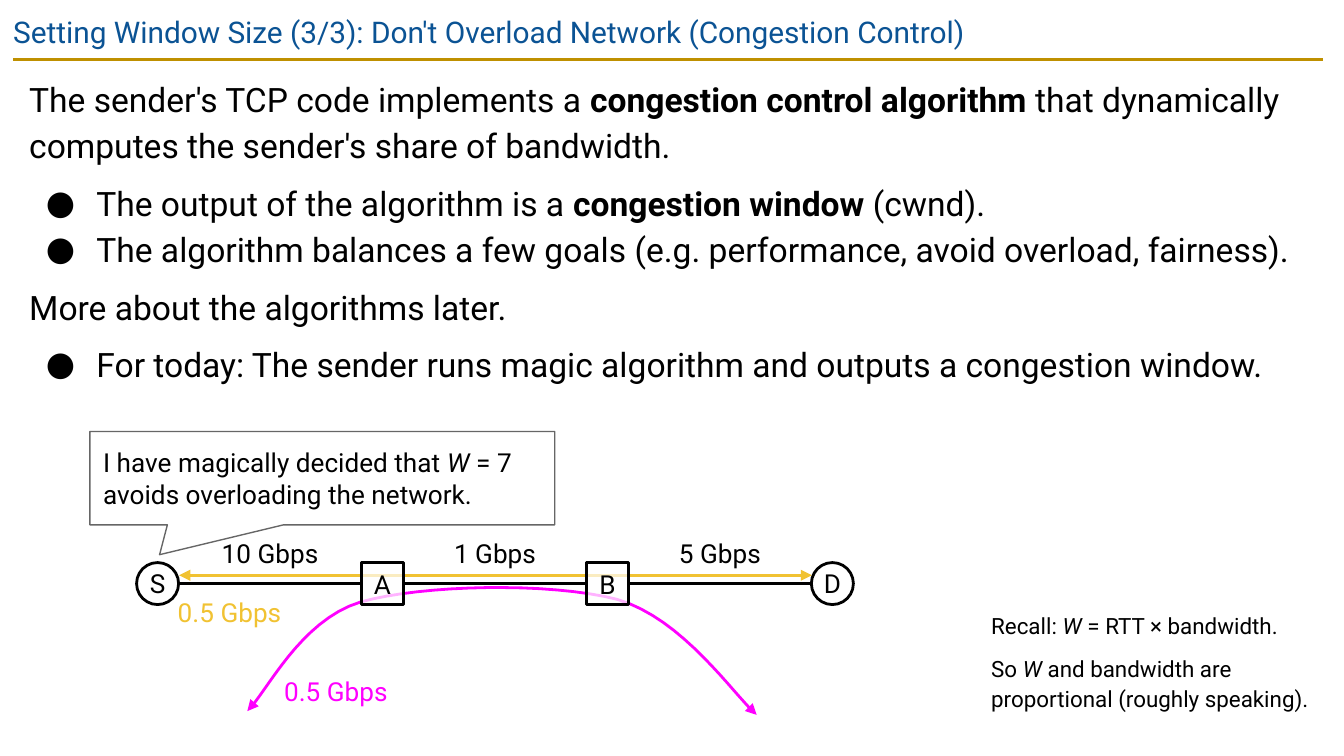
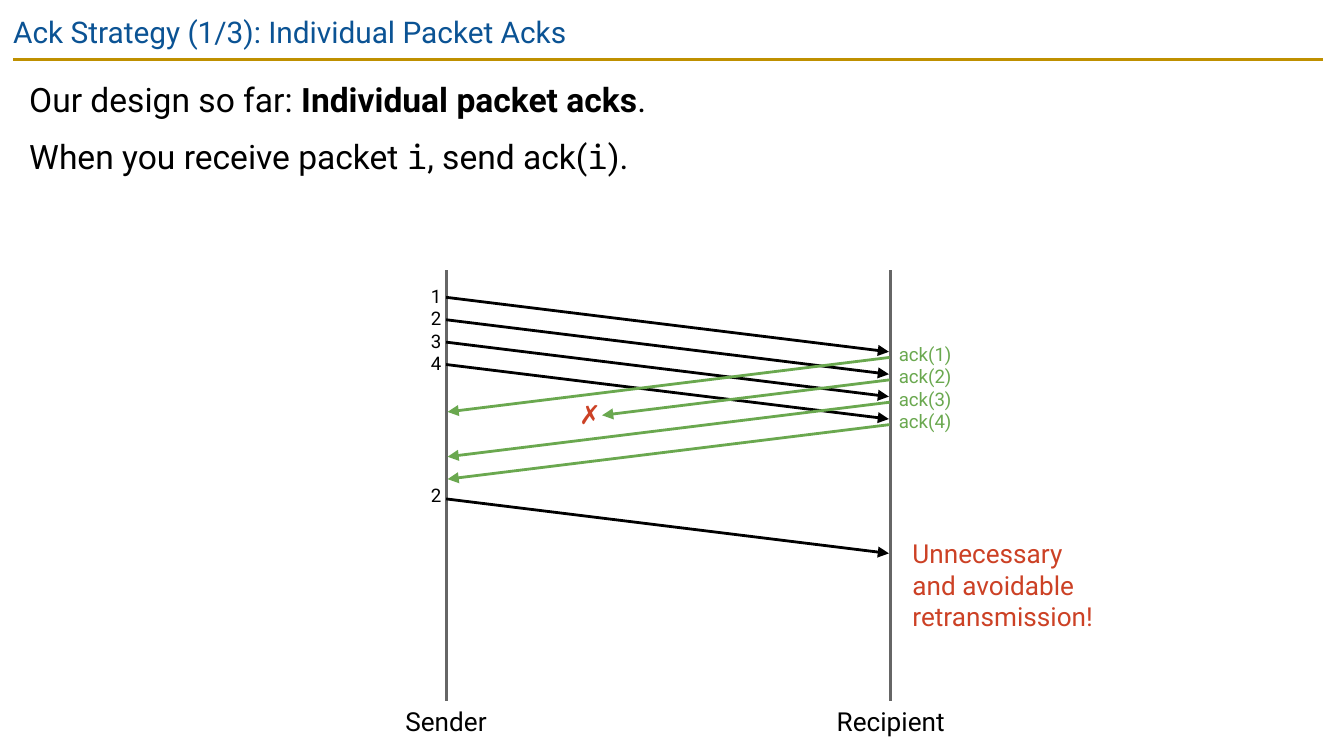
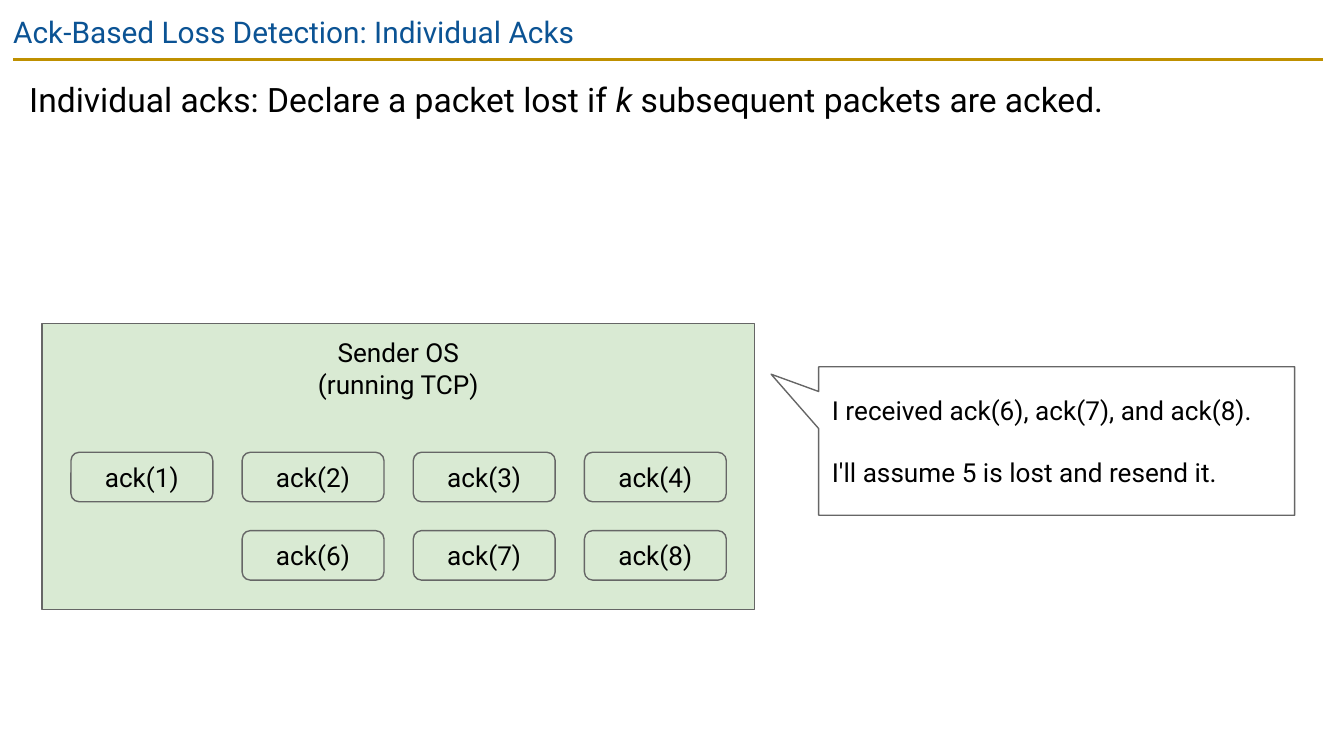
from lxml import etree
from pptx import Presentation
from pptx.dml.color import RGBColor
from pptx.enum.shapes import MSO_CONNECTOR, MSO_SHAPE
from pptx.enum.text import MSO_ANCHOR, PP_ALIGN
from pptx.oxml.ns import qn
from pptx.util import Pt

LEFT, CENTER, RIGHT = PP_ALIGN.LEFT, PP_ALIGN.CENTER, PP_ALIGN.RIGHT
TOP, MIDDLE = MSO_ANCHOR.TOP, MSO_ANCHOR.MIDDLE
RECT, OVAL, ROUNDED = MSO_SHAPE.RECTANGLE, MSO_SHAPE.OVAL, MSO_SHAPE.ROUNDED_RECTANGLE
CALLOUT = MSO_SHAPE.ROUNDED_RECTANGULAR_CALLOUT
STRAIGHT = MSO_CONNECTOR.STRAIGHT

color = RGBColor.from_string
BLACK, WHITE, GRAY = "000000", "FFFFFF", "666666"
BLUE, GOLD, YELLOW, MAGENTA = "0B5394", "BF9000", "F1C232", "FF00FF"
GREEN, PALE_GREEN, RED = "6AA84F", "D9EAD3", "CC4125"
BOLD, ITALIC, MONO = {"bold": True}, {"italic": True}, {"name": "Noto Sans Mono"}
BODY = {"line_spacing": 1.15, "space_before": Pt(6)}
BULLET = "● "


def put(page, kind, place, paragraphs, size=14, ink=BLACK, align=LEFT, anchor=TOP,
        inset=(7.2, 7.2), spacing=None, fill=None, alpha=None, line=GRAY, weight=0.75):
    """Add a preset shape, or a text box if kind is None. A span is a string or (string, format)."""
    place = [Pt(value) for value in place]
    if kind is None:
        box = page.shapes.add_textbox(*place)
    else:
        box = page.shapes.add_shape(kind, *place)
        box.shadow.inherit = False
        box.line.color.rgb = color(line)
        box.line.width = Pt(weight)
        if fill:
            box.fill.solid()
            box.fill.fore_color.rgb = color(fill)
        else:
            box.fill.background()
        if alpha:
            tint = box._element.spPr.find(qn("a:solidFill"))[0]
            etree.SubElement(tint, qn("a:alpha")).set("val", str(alpha * 1000))
    side, edge = (Pt(value) for value in inset)
    frame = {"word_wrap": True, "vertical_anchor": anchor, "margin_left": side,
             "margin_right": side, "margin_top": edge, "margin_bottom": edge}
    for name, value in frame.items():
        setattr(box.text_frame, name, value)

    after_bullet = False
    for number, spans in enumerate(paragraphs):
        para = box.text_frame.add_paragraph() if number else box.text_frame.paragraphs[0]
        spans = [spans] if isinstance(spans, str) else list(spans)
        for name, value in {"alignment": align, **(spacing or {})}.items():
            setattr(para, name, value)
        bulleted = isinstance(spans[0], str) and spans[0].startswith(BULLET)
        if bulleted:
            spans[0] = spans[0].removeprefix(BULLET)
            settings = para._p.get_or_add_pPr()
            settings.set("marL", str(Pt(36)))
            settings.set("indent", str(-Pt(27)))
            tint = etree.SubElement(settings, qn("a:buClr"))
            etree.SubElement(tint, qn("a:srgbClr")).set("val", ink)
            etree.SubElement(settings, qn("a:buSzPts")).set("val", str(size * 100))
            etree.SubElement(settings, qn("a:buFont")).set("typeface", "Roboto")
            etree.SubElement(settings, qn("a:buChar")).set("char", BULLET.strip())
            if after_bullet:
                para.space_before = Pt(0)
        after_bullet = bulleted
        for item in spans:
            words, extra = (item, {}) if isinstance(item, str) else item
            span = para.add_run()
            span.text = words
            span.font.color.rgb = color(ink)
            for name, value in {"name": "Roboto", "size": Pt(size), **extra}.items():
                setattr(span.font, name, value)
    return box


def draw_line(page, points, ink, ends=()):
    """Draw a connector through two points, or an open outline through more."""
    points = [(Pt(x), Pt(y)) for x, y in points]
    if len(points) == 2:
        stroke = page.shapes.add_connector(STRAIGHT, *points[0], *points[1])
    else:
        builder = page.shapes.build_freeform(*points[0], scale=1.0)
        builder.add_line_segments(points[1:], close=False)
        stroke = builder.convert_to_shape()
        stroke.fill.background()
    stroke.line.color.rgb = color(ink)
    stroke.line.width = Pt(1.5)
    for end in ends:
        etree.SubElement(stroke.line._get_or_add_ln(), qn(f"a:{end}")).set("type", "triangle")
    etree.SubElement(stroke._element.spPr, qn("a:effectLst"))


TO_END, BOTH = ("tailEnd",), ("headEnd", "tailEnd")

deck = Presentation()
deck.slide_width, deck.slide_height = Pt(720), Pt(405)

# Title, rule and body of every slide
contents = [
    ("Setting Window Size (3/3): Don't Overload Network (Congestion Control)", 186, [
        ["The sender's TCP code implements a ", ("congestion control algorithm", BOLD),
         " that dynamically computes the sender's share of bandwidth."],
        ["● The output of the algorithm is a ", ("congestion window", BOLD), " (cwnd)."],
        "● The algorithm balances a few goals (e.g. performance, avoid overload, fairness).",
        "More about the algorithms later.",
        "● For today: The sender runs magic algorithm and outputs a congestion window."]),
    ("Ack Strategy (1/3): Individual Packet Acks", 105, [
        ["Our design so far: ", ("Individual packet acks", BOLD), "."],
        ["When you receive packet ", ("i", MONO), ", send ack(", ("i", MONO), ")."]]),
    ("Ack-Based Loss Detection: Individual Acks", 135, [
        ["Individual acks: Declare a packet lost if ", ("k", ITALIC),
         " subsequent packets are acked."]]),
]
pages = []
for title, body_height, body in contents:
    page = deck.slides.add_slide(deck.slide_layouts[6])
    draw_line(page, [(7.2, 32), (709, 32)], GOLD)
    put(page, None, (0, 0, 671, 31), [title], size=16, ink=BLUE)
    put(page, None, (8.6, 31.7, 701, body_height), body, size=18, spacing=BODY)
    pages.append(page)
window_page, strategy_page, detection_page = pages

# Slide 1: notes about the window
put(window_page, None, (529, 324, 175, 58), [
    ["Recall: ", ("W", ITALIC), " = RTT × bandwidth."],
    ["So ", ("W", ITALIC), " and bandwidth are proportional (roughly speaking)."]],
    size=12, inset=(2, 2), spacing=BODY)
speech = put(window_page, CALLOUT, (48.2, 231.2, 249, 50), [
    ["I have magically decided that ", ("W", ITALIC), " = 7 avoids overloading the network."]],
    anchor=MIDDLE)
for index, value in enumerate((-0.35, 0.82, 0)):
    speech.adjustments[index] = value

# Slide 1: flows through the network
draw_line(window_page, [(96, 308.2), (435, 308.2)], YELLOW, BOTH)
curves = [
    [(132.5, 381), (142.5, 371.5), (160.5, 332.6), (193, 322.6)],
    [(193, 322.6), (226, 313.2), (294.5, 311.8), (330.5, 321.1)],
    [(330.5, 321.1), (365.8, 331.2), (393, 372.2), (405.4, 383)],
]
STEPS = 16
flow = [curves[0][0]]
for curve in curves:
    for step in range(1, STEPS + 1):
        t = step / STEPS
        weights = ((1 - t) ** 3, 3 * t * (1 - t) ** 2, 3 * t * t * (1 - t), t ** 3)
        flow.append(tuple(sum(w * v for w, v in zip(weights, axis)) for axis in zip(*curve)))
draw_line(window_page, flow, MAGENTA, BOTH)

# Slide 1: nodes, links and link rates
NODE, NODE_PITCH, NODE_TOP = 22.5, 120.5, 301.4
nodes = [("S", OVAL, "10 Gbps"), ("A", RECT, "1 Gbps"), ("B", RECT, "5 Gbps"), ("D", OVAL, None)]
for index, (name, kind, rate) in enumerate(nodes):
    left = 73.2 + index * NODE_PITCH
    put(window_page, kind, (left, NODE_TOP, NODE, NODE), [name], align=CENTER, anchor=MIDDLE,
        inset=(0, 0), fill=WHITE, alpha=70, line=BLACK, weight=1.5)
    if rate:
        link_y = NODE_TOP + NODE / 2
        draw_line(window_page, [(left + NODE, link_y), (left + NODE_PITCH, link_y)], BLACK)
        put(window_page, None, (left + NODE, 286, NODE_PITCH - NODE, 22), [rate],
            align=CENTER, inset=(2, 2))
for left, top, ink in ((142.5, 360, MAGENTA), (85.5, 317.5, YELLOW)):
    put(window_page, None, (left, top, 75, 22), ["0.5 Gbps"], ink=ink, align=CENTER, inset=(2, 2))

# Slide 2: timelines
SENDER_X, RECIPIENT_X = 239, 477.2
for name, x in (("Sender", SENDER_X), ("Recipient", RECIPIENT_X)):
    draw_line(strategy_page, [(x, 144.7), (x, 375.8)], GRAY)
    put(strategy_page, None, (x - 47, 375.8, 94, 22), [name], align=CENTER, inset=(7.2, 2))

# Slide 2: packets, acks and the retransmission
DROP, ROW = 29.2, 12
for send_y in [159.3 + ROW * row for row in range(4)] + [267.3]:
    draw_line(strategy_page, [(SENDER_X, send_y), (RECIPIENT_X - 1, send_y + DROP)], BLACK, TO_END)
for row in range(4):
    ack_y = 191.5 + ROW * row
    end = (322.6, ack_y + 19) if row == 1 else (SENDER_X + 0.8, ack_y + DROP)
    draw_line(strategy_page, [(RECIPIENT_X - 0.6, ack_y), end], GREEN, TO_END)
put(strategy_page, None, (222.5, 145.4, 21, 63), ["1", "2", "3", "4"], size=10, align=RIGHT)
put(strategy_page, None, (222.5, 253.4, 21, 27), ["2"], size=10, align=RIGHT)
put(strategy_page, None, (474.5, 176.4, 52.5, 63), [f"ack({number})" for number in range(1, 5)],
    size=10, ink=GREEN)
put(strategy_page, None, (308, 211.7, 16, 22), [[("✗", BOLD)]], ink=RED, align=RIGHT, inset=(2, 2))
put(strategy_page, None, (481.7, 286, 115, 55.4), ["Unnecessary and avoidable retransmission!"],
    ink=RED, inset=(7.2, 2))

# Slide 3: sender with the acks it has received
put(detection_page, RECT, (22.5, 173.2, 381.8, 153.4), ["Sender OS", "(running TCP)"],
    align=CENTER, fill=PALE_GREEN)
for number in (1, 2, 3, 4, 6, 7, 8):
    row, column = divmod(number - 1, 4)
    put(detection_page, ROUNDED, (38 + 91.7 * column, 242.3 + 42 * row, 76, 26.5),
        [f"ack({number})"], align=CENTER, anchor=MIDDLE)
speech = put(detection_page, CALLOUT, (438.6, 196.5, 255, 79.5), [
    "I received ack(6), ack(7), and ack(8).", "I'll assume 5 is lost and resend it."], anchor=MIDDLE)
speech.text_frame.paragraphs[1].space_before = Pt(16.4)
for index, value in enumerate((-0.6, -0.45, 0)):
    speech.adjustments[index] = value

deck.save("out.pptx")
